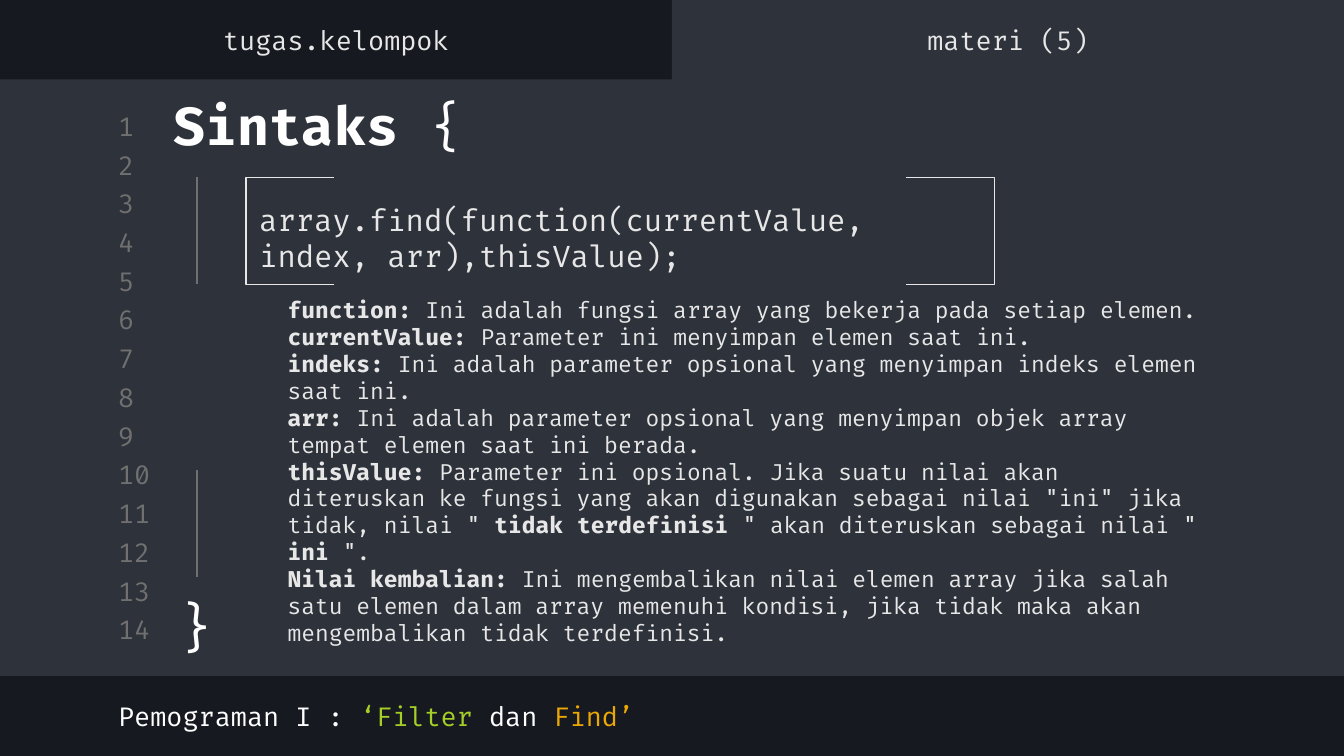
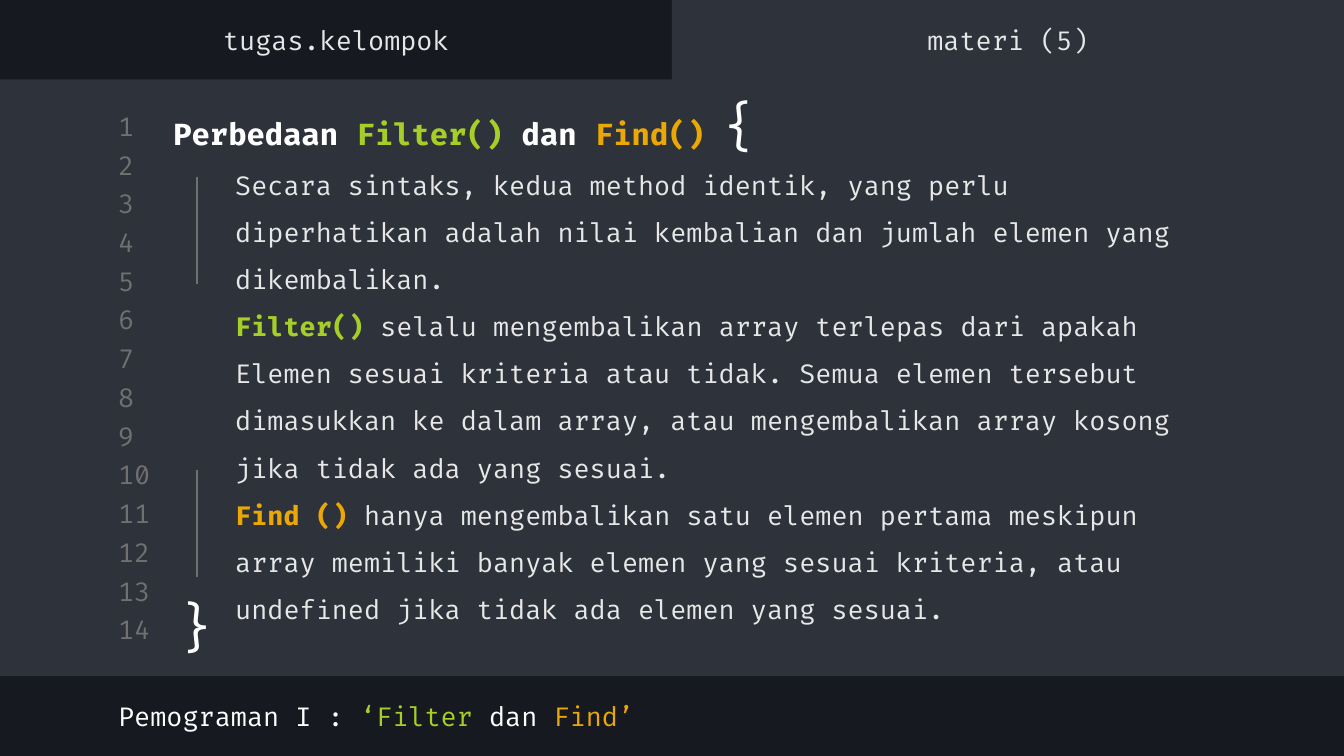
from lxml import etree
from pptx import Presentation
from pptx.dml.color import RGBColor
from pptx.enum.shapes import MSO_CONNECTOR, MSO_SHAPE
from pptx.enum.text import MSO_ANCHOR, MSO_AUTO_SIZE, PP_ALIGN
from pptx.oxml.ns import qn
from pptx.util import Pt

LEFT, CENTER = PP_ALIGN.LEFT, PP_ALIGN.CENTER
MIDDLE, TOP = MSO_ANCHOR.MIDDLE, MSO_ANCHOR.TOP
NO_AUTOSIZE = MSO_AUTO_SIZE.NONE
RECTANGLE = MSO_SHAPE.RECTANGLE
LEFT_BRACKET, RIGHT_BRACKET = MSO_SHAPE.LEFT_BRACKET, MSO_SHAPE.RIGHT_BRACKET
STRAIGHT = MSO_CONNECTOR.STRAIGHT

FONT = "Fira Code"
NIGHT = RGBColor(0x16, 0x19, 0x1F)
SLATE = RGBColor(0x2E, 0x32, 0x3B)
GRAY = RGBColor(0x70, 0x70, 0x70)
LIGHT = RGBColor(0xE7, 0xE7, 0xE7)
WHITE = RGBColor(0xFF, 0xFF, 0xFF)
GREEN = RGBColor(0xA5, 0xCF, 0x27)
AMBER = RGBColor(0xEB, 0xA8, 0x04)

PAGE_WIDTH, PAGE_HEIGHT = 720, 405
INSET = 7.2
LINE_COUNT, LINE_PITCH = 14, 20.75


# Text helpers: a paragraph is a list of (text, font settings) spans
def write(shape, paragraphs, size, color, align=LEFT, anchor=MIDDLE,
          spacing=1.0, indent=0):
    frame = shape.text_frame
    frame.word_wrap = True
    frame.auto_size = NO_AUTOSIZE
    frame.vertical_anchor = anchor
    frame.margin_left = frame.margin_right = Pt(INSET)
    frame.margin_top = frame.margin_bottom = Pt(INSET)
    for number, spans in enumerate(paragraphs):
        para = frame.add_paragraph() if number else frame.paragraphs[0]
        para.alignment = align
        para.line_spacing = spacing
        para.space_before = para.space_after = Pt(0)
        para.font.name, para.font.size = FONT, Pt(size)
        para.font.color.rgb = color
        properties = para._p.get_or_add_pPr()
        properties.set("marL", str(Pt(indent)))
        properties.set("indent", "0")
        no_bullet = etree.Element(qn("a:buNone"))
        properties.find(qn("a:defRPr")).addprevious(no_bullet)
        for text, settings in spans:
            span = para.add_run()
            span.text = text
            if "color" in settings:
                span.font.color.rgb = settings["color"]
            if "bold" in settings:
                span.font.bold = settings["bold"]
            if "size" in settings:
                span.font.size = Pt(settings["size"])


def plain(text, **settings):
    return text, settings


def bold(text, **settings):
    return text, {"bold": True, **settings}


def place(shape, box):
    shape.left, shape.top, shape.width, shape.height = map(Pt, box)
    return shape


def add_text(page, box, spans, size, color, **options):
    text_box = page.shapes.add_textbox(*map(Pt, box))
    write(text_box, [spans], size, color, **options)
    return text_box


def add_panel(page, box):
    panel = page.shapes.add_shape(RECTANGLE, *map(Pt, box))
    panel.shadow.inherit = False
    panel.fill.solid()
    panel.fill.fore_color.rgb = SLATE
    panel.line.fill.background()
    return panel


def add_rule(page, x, top, height):
    rule = page.shapes.add_connector(
        STRAIGHT, Pt(x), Pt(top), Pt(x), Pt(top + height))
    rule.line.color.rgb = GRAY
    rule.line.width = Pt(0.75)
    etree.SubElement(rule._element.spPr, qn("a:effectLst"))


# Editor window on the layout: panels and line numbers, behind every slide
def build_layout(layout, page):
    for holder in list(layout.placeholders)[2:]:
        layout.shapes.element.remove(holder.element)
    parts = [add_panel(page, (0, 42.5, PAGE_WIDTH, 319.7)),
             add_panel(page, (PAGE_WIDTH / 2, 0, PAGE_WIDTH / 2, 47))]
    for number in range(LINE_COUNT):
        box = (56.2, 58.8 + number * LINE_PITCH, 34, 17.3)
        parts.append(add_text(page, box, [plain(str(number + 1))], 14, GRAY))
    for position, part in enumerate(parts, start=2):
        layout.shapes.element.insert(position, part.element)


# Tabs along the top
def add_tabs(page, box):
    left, top, width, height = box
    for number, label in enumerate(("tugas.kelompok", "materi (5)")):
        tab = (left + number * width / 2, top, width / 2, height)
        add_text(page, tab, [plain(label)], 14, LIGHT, align=CENTER)


# Course name at the foot
def add_footer(page, box):
    spans = [plain("Pemograman I : "), plain("‘Filter ", color=GREEN),
             plain("dan "), plain("Find’", color=AMBER)]
    add_text(page, box, spans, 14, WHITE)


# Block guides and the closing brace
def add_code_block(page, box):
    left, top, width, height = box
    middle, rule_height = left + width / 2, 57.4
    add_rule(page, middle, top, rule_height)
    add_rule(page, middle, top + 157, rule_height)
    brace = (left, top + height - 48, width, 48)
    add_text(page, brace, [plain("}")], 28, WHITE, align=CENTER, anchor=TOP)


# Code sample between corner brackets
def add_code_sample(page, box, code):
    left, top, width, height = box
    bracket_width = 47.4
    for kind, x in ((LEFT_BRACKET, left),
                    (RIGHT_BRACKET, left + width - bracket_width)):
        bracket = page.shapes.add_shape(
            kind, Pt(x), Pt(top), Pt(bracket_width), Pt(height))
        bracket.adjustments[0] = 0
        bracket.shadow.inherit = False
        bracket.fill.background()
        bracket.line.color.rgb = LIGHT
        bracket.line.width = Pt(0.75)
    add_text(page, (left, top + 3.6, width, 57), [plain(code)], 16, LIGHT)


def add_page(deck, layout, title_spans, title_size):
    page = deck.slides.add_slide(layout)
    title = place(page.shapes.title, (85.7, 46.1, 615, 41.8))
    write(title, [title_spans], title_size, WHITE)
    add_footer(page, (56.2, 369.4, 383, 28))
    add_tabs(page, (0, 7.2, PAGE_WIDTH, 28))
    add_code_block(page, (85.7, 95, 39.6, 264))
    return page


def add_body(page, box, paragraphs, size, **options):
    body = place(page.placeholders[1], box)
    write(body, paragraphs, size, LIGHT, **options)


deck = Presentation()
deck.slide_width, deck.slide_height = Pt(PAGE_WIDTH), Pt(PAGE_HEIGHT)
backdrop = deck.slide_master.background.fill
backdrop.solid()
backdrop.fore_color.rgb = NIGHT
layout = deck.slide_layouts[1]

# Slide 1: syntax
syntax = add_page(deck, layout, [bold("Sintaks "), plain("{")], 28)
build_layout(layout, syntax)
add_code_sample(syntax, (131.8, 95, 401, 57.6),
                "array.find(function(currentValue, index, arr),thisValue);")
add_body(syntax, (110.9, 208.1, 544.3, 88.6), [
    [bold("function:"),
     plain(" Ini adalah fungsi array yang bekerja pada setiap elemen.")],
    [bold("currentValue:"),
     plain(" Parameter ini menyimpan elemen saat ini.")],
    [bold("indeks:"),
     plain(" Ini adalah parameter opsional yang menyimpan indeks elemen "
           "saat ini.")],
    [bold("arr:"),
     plain(" Ini adalah parameter opsional yang menyimpan objek array "
           "tempat elemen saat ini berada.")],
    [bold("thisValue:"),
     plain(" Parameter ini opsional. Jika suatu nilai akan diteruskan ke "
           "fungsi yang akan digunakan sebagai nilai \"ini\" jika tidak, "
           "nilai \" "),
     bold("tidak terdefinisi"),
     plain(" \" akan diteruskan sebagai nilai \" "),
     bold("ini "), plain("\".")],
    [bold("Nilai kembalian:"),
     plain(" Ini mengembalikan nilai elemen array jika salah satu elemen "
           "dalam array memenuhi kondisi, jika tidak maka akan "
           "mengembalikan tidak terdefinisi.")],
], 12, indent=36)

# Slide 2: differences
difference = add_page(deck, layout, [
    bold("Perbedaan "), bold("Filter() ", color=GREEN), bold("dan "),
    bold("Find() ", color=AMBER), plain("{", size=28)], 16)
add_body(difference, (108, 180, 612, 57), [
    [plain("Secara sintaks, kedua method identik, yang perlu")],
    [plain("diperhatikan adalah nilai kembalian dan jumlah elemen yang")],
    [plain("dikembalikan.")],
    [bold("Filter() ", color=GREEN),
     plain("selalu mengembalikan array terlepas dari apakah")],
    [plain("Elemen sesuai kriteria atau tidak. Semua elemen tersebut")],
    [plain("dimasukkan ke dalam array, atau mengembalikan array kosong")],
    [plain("jika tidak ada yang sesuai.")],
    [bold("Find () ", color=AMBER),
     plain("hanya mengembalikan satu elemen pertama meskipun")],
    [plain("array memiliki banyak elemen yang sesuai kriteria, atau")],
    [plain("undefined jika tidak ada elemen yang sesuai.")],
], 14, spacing=1.5, indent=10.8)

deck.save("out.pptx")
